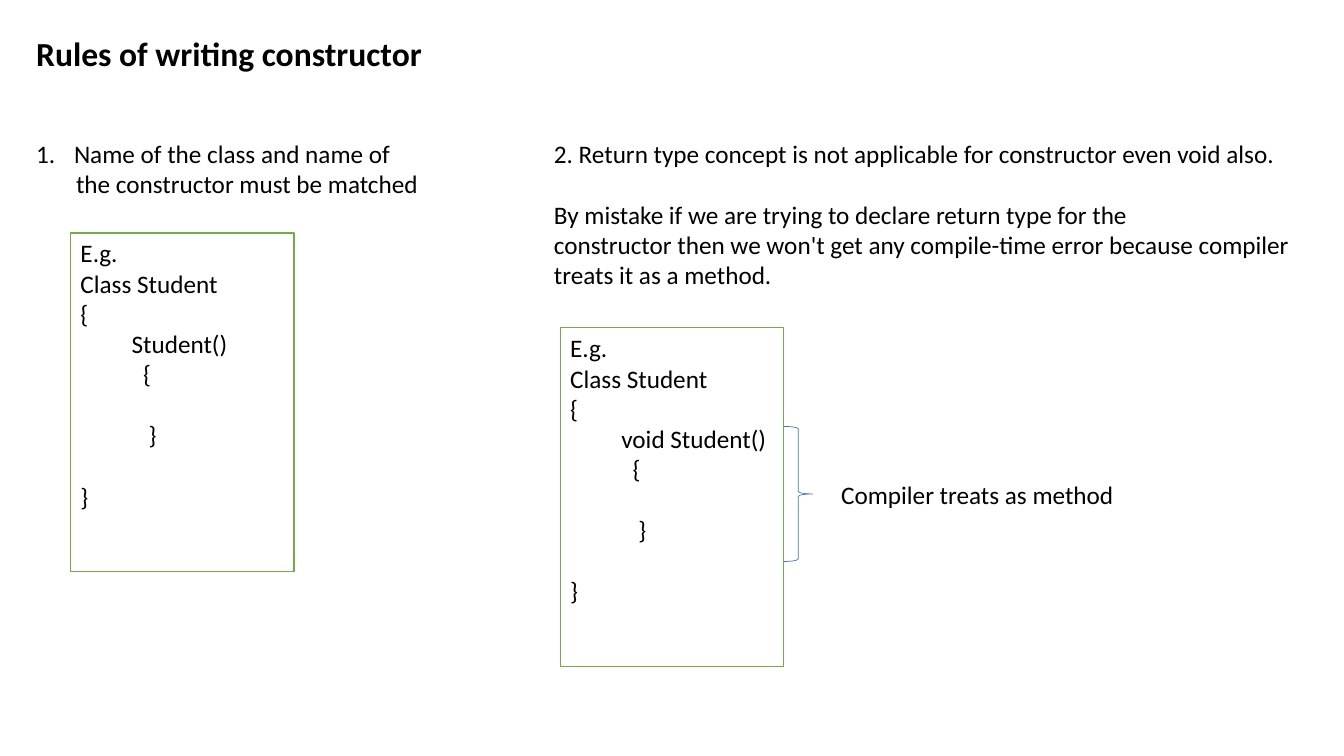
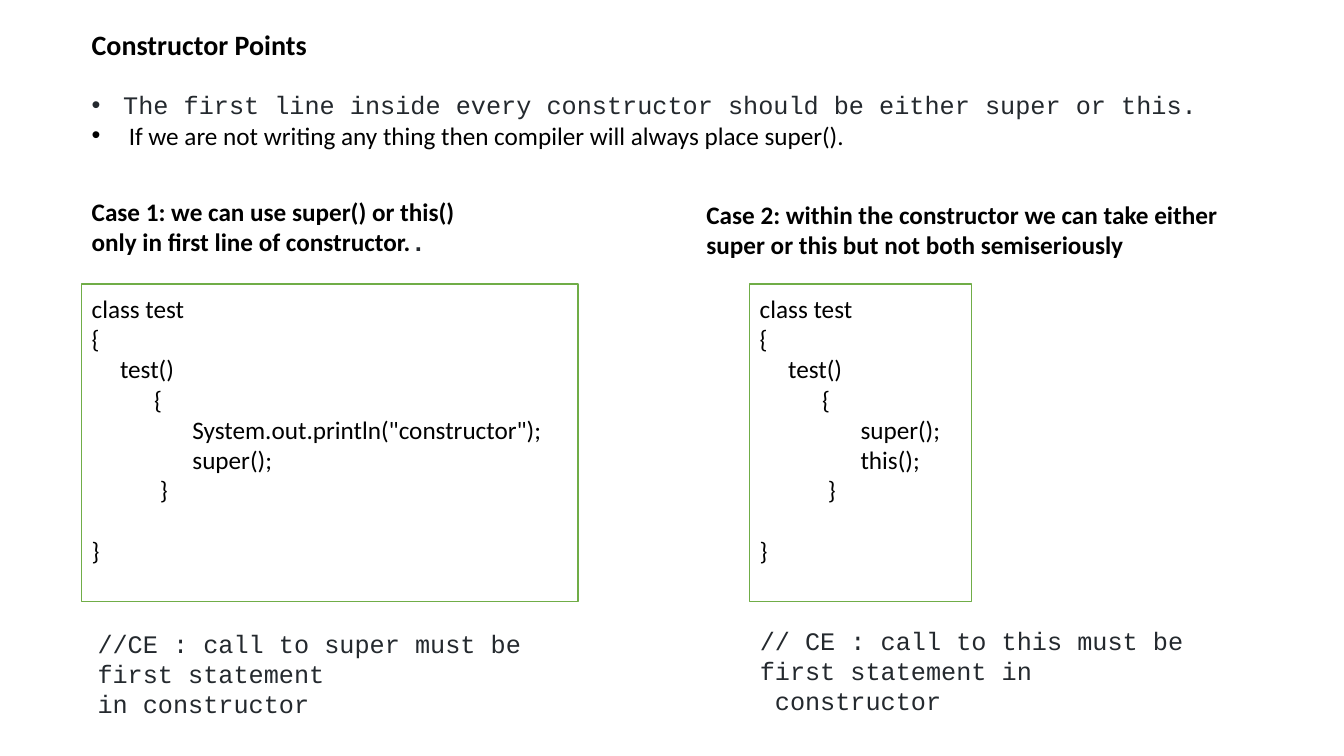
"""Build two slides on the rules and key points of constructors."""
from dataclasses import dataclass
from typing import Any

import lxml.etree
import pptx
import pptx.dml.color
import pptx.enum.shapes
import pptx.enum.text
import pptx.oxml.ns
import pptx.util

Pt = pptx.util.Pt
COLORS = {"ink": "000000", "mono": "24292E", "paper": "FFFFFF", "frame": "70AD47", "brace": "4472C4"}
BODY = {"name": "Calibri", "size": Pt(18), "bold": False}
STYLES: dict[str, dict[str, Any]] = {
    "body": BODY,
    "strong": BODY | {"bold": True},
    "title": BODY | {"bold": True, "size": Pt(24)},
    "subtitle": BODY | {"bold": True, "size": Pt(20)},
    "mono": BODY | {"name": "Courier New"},
    "mono strong": BODY | {"name": "Courier New", "bold": True},
}
LINE_HEIGHT = 22
TAB_STOP = 72
FRAME_FORMAT = {
    "margin_left": Pt(7.2), "margin_right": Pt(7.2), "margin_bottom": Pt(3.6),
    "word_wrap": True, "vertical_anchor": pptx.enum.text.MSO_ANCHOR.TOP,
}


@dataclass(frozen=True)
class Line:
    text: str
    style: str = "body"
    gap: float = 0
    indent: float = 0
    bullet: str = ""
    ending: str = ""


@dataclass(frozen=True)
class Box:
    left: float
    top: float
    width: float
    height: float
    lines: list[Line]
    framed: bool = False
    inset: float = 3.6


def apply_format(target: Any, values: dict[str, Any]) -> None:
    """Set each named attribute on the target."""
    for name, value in values.items():
        setattr(target, name, value)


def rgb(name: str) -> pptx.dml.color.RGBColor:
    """Look up a named colour."""
    return pptx.dml.color.RGBColor.from_string(COLORS[name])


def code_lines(source: str) -> list[Line]:
    """Turn code into lines, with blank rows as space before the next line."""
    lines, gap = [], 0
    for row in source.split("\n"):
        if row:
            lines.append(Line(row, gap=gap))
        gap = 0 if row else gap + LINE_HEIGHT
    return lines


def student_class(signature: str) -> list[Line]:
    """Write the student class around one constructor signature."""
    return code_lines(f"E.g.\nClass Student\n{{\n         {signature}\n           {{\n\n            }}\n\n}}")


def test_class(*statements: str) -> list[Line]:
    """Write the test class around the constructor's statements."""
    calls = "\n".join(f"\t{statement}" for statement in statements)
    return code_lines(f"class test\n{{\n     test()\n           {{\n{calls}\n            }}\n\n}}")


def add_element(parent: Any, tag: str, **attributes: str) -> Any:
    """Append a drawing element to its parent."""
    return lxml.etree.SubElement(parent, pptx.oxml.ns.qn(f"a:{tag}"), **attributes)


def add_run(paragraph: Any, text: str, style: str) -> None:
    """Add text in a named style."""
    run = paragraph.add_run()
    run.text = text
    apply_format(run.font, STYLES[style])
    run.font.color.rgb = rgb("mono" if style.startswith("mono") else "ink")


def write_line(paragraph: Any, line: Line) -> None:
    """Write one line with its bullet, indent, tab stop and spacing."""
    properties = paragraph._p.get_or_add_pPr()
    if line.indent:
        properties.set("marL", str(Pt(line.indent)))
    if line.bullet:
        properties.set("indent", str(-Pt(line.indent)))
        if line.bullet == "1.":
            add_element(properties, "buAutoNum", type="arabicPeriod")
        else:
            add_element(properties, "buFont", typeface="Arial")
            add_element(properties, "buChar", char=line.bullet)
    if "\t" in line.text:
        add_element(add_element(properties, "tabLst"), "tab", pos=str(Pt(TAB_STOP)), algn="l")
    paragraph.alignment = pptx.enum.text.PP_ALIGN.LEFT
    paragraph.space_before = Pt(line.gap)
    for index, part in enumerate(line.text.split("\v")):
        if index:
            paragraph.add_line_break()
        add_run(paragraph, part, line.style)
    if line.ending:
        add_run(paragraph, line.ending, "mono strong")


def add_box(slide: Any, box: Box) -> None:
    """Draw a text box, framed or plain."""
    bounds = [Pt(value) for value in (box.left, box.top, box.width, box.height)]
    if box.framed:
        shape = slide.shapes.add_shape(pptx.enum.shapes.MSO_SHAPE.RECTANGLE, *bounds)
        shape.shadow.inherit = False
        shape.fill.solid()
        shape.fill.fore_color.rgb = rgb("paper")
        shape.line.color.rgb = rgb("frame")
        shape.line.width = Pt(1)
    else:
        shape = slide.shapes.add_textbox(*bounds)
    frame = shape.text_frame
    apply_format(frame, FRAME_FORMAT | {"margin_top": Pt(box.inset)})
    for index, line in enumerate(box.lines):
        write_line(frame.add_paragraph() if index else frame.paragraphs[0], line)


def add_brace(slide: Any, left: float, top: float, width: float, height: float) -> None:
    """Draw the brace that points from the code to its remark."""
    brace = slide.shapes.add_shape(
        pptx.enum.shapes.MSO_SHAPE.RIGHT_BRACE, Pt(left), Pt(top), Pt(width), Pt(height))
    brace.shadow.inherit = False
    brace.fill.background()
    brace.line.color.rgb = rgb("brace")
    brace.line.width = Pt(0.5)


def add_slide(presentation: Any, boxes: list[Box]) -> Any:
    """Add a blank slide holding the given boxes."""
    slide = presentation.slides.add_slide(presentation.slide_layouts[6])
    for box in boxes:
        add_box(slide, box)
    return slide


RULES = [
    Box(18.8, 20.2, 310, 36, [Line("Rules of writing constructor", "title")]),
    Box(18.8, 95, 310, 51, [
        Line("Name of the class and name of", indent=27, bullet="1."),
        Line("the constructor must be matched", indent=28.5),
    ]),
    Box(50.4, 166.3, 159.5, 242, student_class("Student()"), framed=True),
    Box(388.6, 95, 543.8, 117, [
        Line("2. Return type concept is not applicable for constructor even void also."),
        Line("By mistake if we are trying to declare return type for the\vconstructor then we won't get "
             "any compile-time error because compiler treats it as a method.", gap=LINE_HEIGHT),
    ]),
    Box(400.2, 234, 159.5, 242, student_class("void Student()"), framed=True),
    Box(593.8, 338.6, 225, 29, [Line("Compiler treats as method")]),
]
POINTS = [
    Box(58.4, 60.5, 826, 51, [
        Line("The first line inside every constructor should be either super or this.",
             "mono", indent=22.5, bullet="•"),
        Line("If we are not writing any thing then compiler will always place super().",
             indent=26.5, bullet="•"),
    ]),
    Box(58.4, 15.8, 185, 32, [Line("Constructor Points", "subtitle")]),
    Box(58.4, 136.8, 309, 51, [
        Line("Case 1: we can use super() or this() only in first line of constructor.", "strong", ending="."),
    ]),
    Box(58.4, 203, 354.4, 226.8, test_class('System.out.println("constructor");', "super();"),
        framed=True, inset=6.5),
    Box(62.6, 445, 331.2, 73, [
        Line("//CE : call to super must be first statement", "mono"), Line("in constructor", "mono"),
    ]),
    Box(497.5, 138.6, 412.6, 51, [
        Line("Case 2: within the constructor we can take either super or this but not both semiseriously", "strong"),
    ]),
    Box(535.6, 203, 158.4, 226.8, test_class("super();", "this();"), framed=True, inset=6.5),
    Box(535.6, 443, 334, 73, [
        Line("// CE : call to this must be first statement in", "mono"), Line(" constructor", "mono"),
    ]),
]


def main() -> None:
    """Build and save the presentation."""
    presentation = pptx.Presentation()
    presentation.slide_width, presentation.slide_height = Pt(960), Pt(540)
    rules_slide = add_slide(presentation, RULES)
    add_brace(rules_slide, 559.7, 304.6, 20.9, 96.5)
    add_slide(presentation, POINTS)
    presentation.save("out.pptx")


if __name__ == "__main__":
    main()
